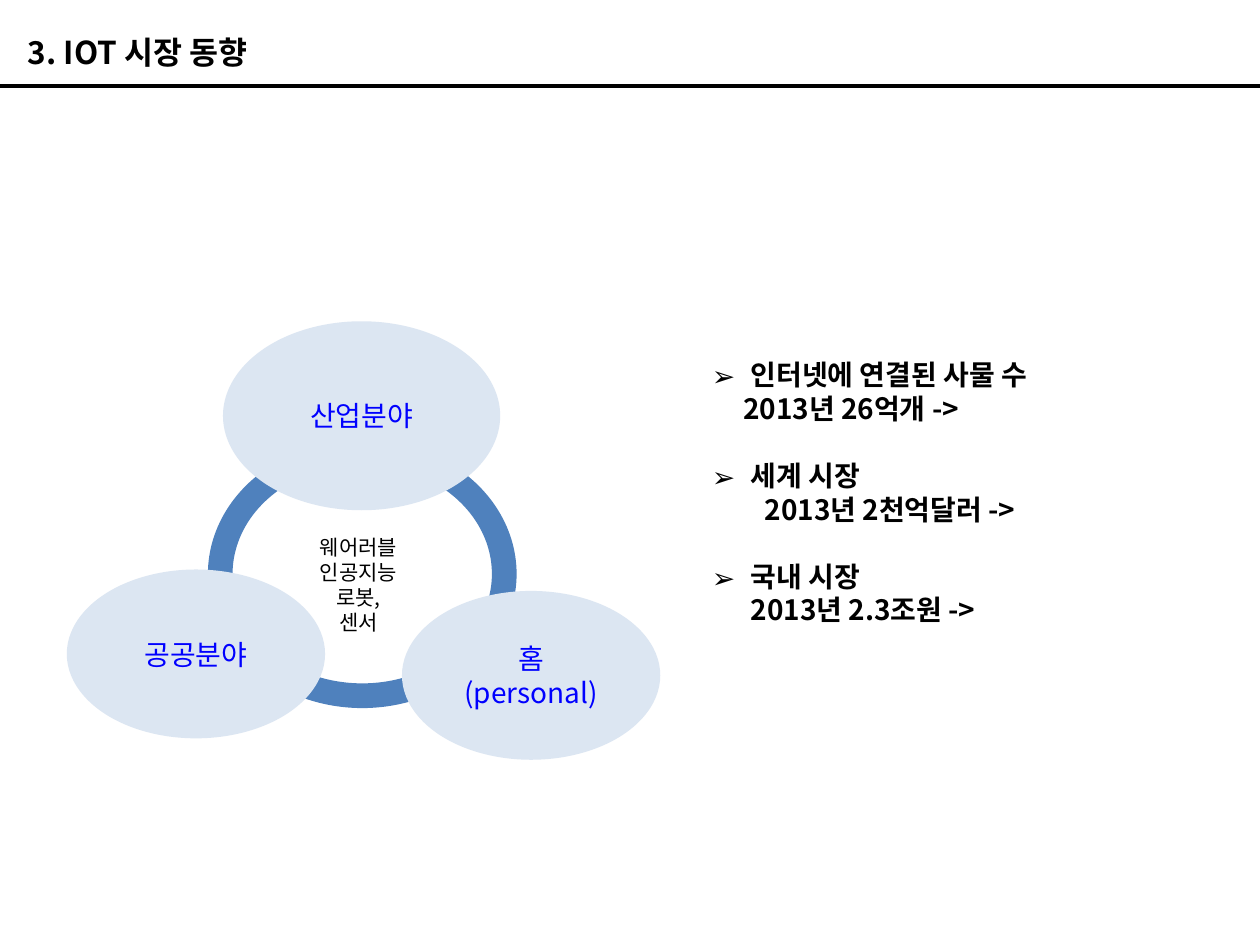
import pptx
import pptx.util
import pptx.dml.color
import pptx.enum.shapes
import pptx.enum.text
import pptx.oxml.ns
import lxml.etree

Pt = pptx.util.Pt
qn = pptx.oxml.ns.qn
ALIGN = pptx.enum.text.PP_ALIGN
ANCHOR = pptx.enum.text.MSO_ANCHOR
SHAPE = pptx.enum.shapes.MSO_SHAPE
FONT = "Noto Sans CJK KR"
LEADING = 1.2
COLORS = {"ring": "4F81BD", "oval": "DCE6F2", "label": "0000FF", "ink": "000000"}

prs = pptx.Presentation()
prs.slide_width = pptx.util.Inches(10)
prs.slide_height = pptx.util.Inches(7.5)
CELL = prs.slide_width // 100  # grid of 100 columns by 75 rows
s = prs.slides.add_slide(prs.slide_layouts[1])


def grid(*cells):
    return [round(c * CELL) for c in cells]


def add_run(p, text, size, color, bold=False, align=ALIGN.LEFT):
    p.alignment = align
    p.line_spacing = Pt(size * LEADING)
    p.space_before = Pt(0)
    r = p.add_run()
    r.text = text
    r.font.size = Pt(size)
    r.font.bold = bold
    r.font.color.rgb = pptx.dml.color.RGBColor.from_string(COLORS[color])
    r.font.name = FONT
    lxml.etree.SubElement(r.font._element, qn("a:ea"), typeface=FONT)


# Ring behind the three fields
ring = s.shapes.add_shape(SHAPE.DONUT, *grid(16.5, 34.9, 24.5, 21.3))
ring.adjustments[0] = 0.092
ring.shadow.inherit = False
ring.fill.solid()
ring.fill.fore_color.rgb = pptx.dml.color.RGBColor.from_string(COLORS["ring"])
ring.line.fill.background()

# Rule under the title
rule = s.shapes.add_connector(
    pptx.enum.shapes.MSO_CONNECTOR.STRAIGHT, *grid(0, 6.8, 100, 6.8))
rule.line.width = Pt(2.25)
rule.line.color.rgb = pptx.dml.color.RGBColor.from_string(COLORS["ink"])
lxml.etree.SubElement(rule._element.spPr, qn("a:effectLst"))

# Title
title = s.shapes.title
title.left, title.top, title.width, title.height = grid(1.2, 2.1, 59.1, 4)
tf = title.text_frame
tf.auto_size = pptx.enum.text.MSO_AUTO_SIZE.NONE
tf.vertical_anchor = ANCHOR.TOP
add_run(tf.paragraphs[0], "3. IOT 시장 동향", 18, "ink", bold=True)

# Fields around the ring
for text, cells in [
    ("산업분야", (17.7, 25.5, 22, 15)),
    ("공공분야", (5.3, 45.2, 20.5, 13.4)),
    ("홈(personal)", (31.9, 46.9, 20.5, 13.4)),
]:
    sp = s.shapes.add_shape(SHAPE.OVAL, *grid(*cells))
    sp.shadow.inherit = False
    sp.fill.solid()
    sp.fill.fore_color.rgb = pptx.dml.color.RGBColor.from_string(COLORS["oval"])
    sp.line.fill.background()
    tf = sp.text_frame
    tf.word_wrap = True
    tf.margin_left = tf.margin_right = grid(1.2)[0]
    tf.vertical_anchor = ANCHOR.MIDDLE
    add_run(tf.paragraphs[0], text, 16, "label", align=ALIGN.CENTER)

# Market figures: a bulleted heading, then its indented figure
body = s.placeholders[1]
body.left, body.top, body.width, body.height = grid(55.5, 27.9, 30, 22.6)
tf = body.text_frame
tf.auto_size = pptx.enum.text.MSO_AUTO_SIZE.NONE
tf.word_wrap = True
p = tf.paragraphs[0]
HANG = 3.1
for i, (heading, figure, indent) in enumerate([
    ("인터넷에 연결된 사물 수", "2013년 26억개 ->", 2.5),
    ("세계 시장", "2013년 2천억달러 ->", 4.2),
    ("국내 시장", "2013년 2.3조원 ->", HANG),
]):
    for text, left, bullet in [(heading, HANG, "➢"), (figure, indent, None)]:
        if p is None:
            p = tf.add_paragraph()
        pPr = p._p.get_or_add_pPr()
        pPr.set("marL", str(grid(left)[0]))
        pPr.set("indent", str(grid(-left)[0] if bullet else 0))
        if bullet:
            lxml.etree.SubElement(pPr, qn("a:buFont"), typeface=FONT)
            lxml.etree.SubElement(pPr, qn("a:buChar"), char=bullet)
        else:
            lxml.etree.SubElement(pPr, qn("a:buNone"))
        add_run(p, text, 16, "ink", bold=True)
        if bullet and i:
            p.space_before = Pt(16 * LEADING)
        p = None

# Technologies inside the ring
sp = s.shapes.add_textbox(*grid(23.9, 41.9, 9.1, 7.1))
tf = sp.text_frame
tf.word_wrap = True
tf.margin_left = tf.margin_right = grid(1.3)[0]
for i, text in enumerate(["웨어러블", "인공지능", "로봇,센서"]):
    p = tf.add_paragraph() if i else tf.paragraphs[0]
    add_run(p, text, 12, "ink", align=ALIGN.CENTER)

prs.save("out.pptx")
